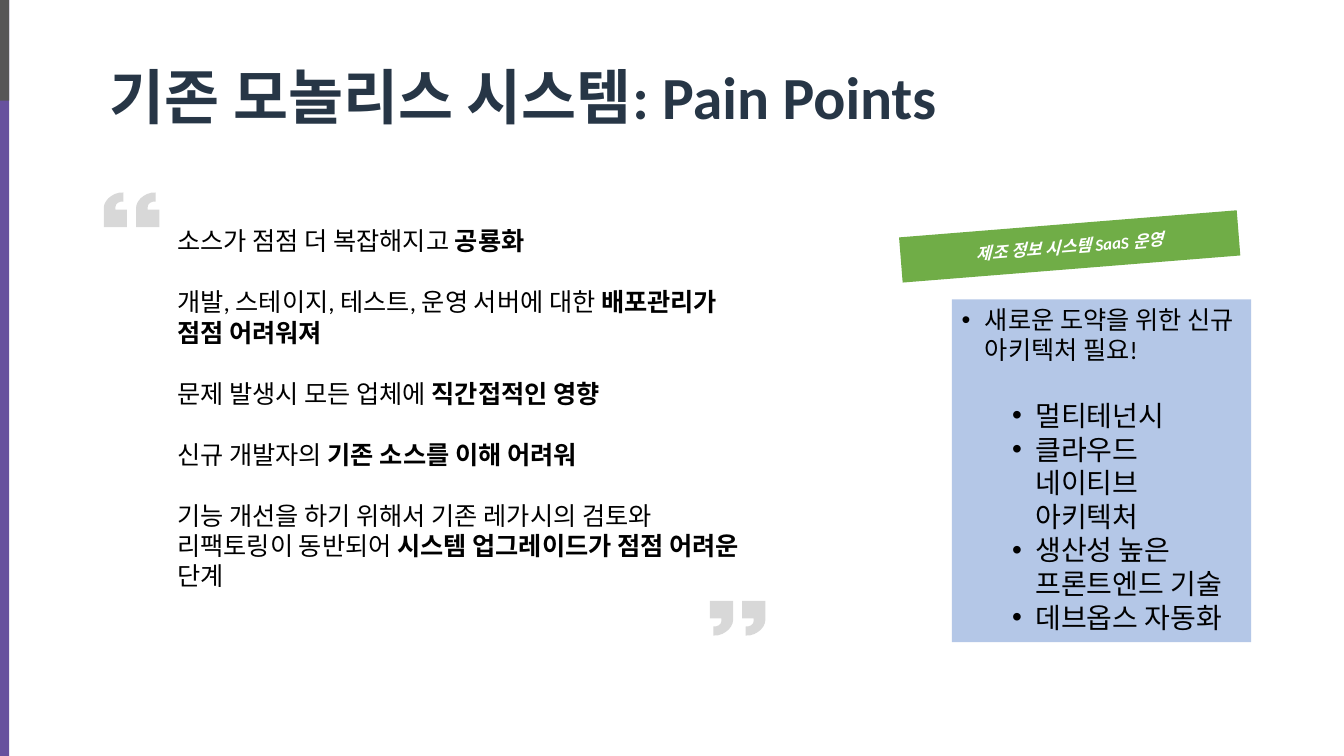
from typing import NamedTuple

from lxml.etree import SubElement
from pptx import Presentation
from pptx.dml.color import RGBColor
from pptx.enum.shapes import MSO_SHAPE as Preset
from pptx.enum.text import MSO_ANCHOR as Anchor, PP_ALIGN as Align
from pptx.oxml.ns import qn
from pptx.util import Pt

PX = 9144  # 100 px to the inch
FONT = "Calibri"
WHITE = RGBColor(0xFF, 0xFF, 0xFF)
BLACK = RGBColor(0, 0, 0)
NAVY = RGBColor(0x27, 0x36, 0x46)
PURPLE = RGBColor(0x67, 0x51, 0x9E)
GRAY = RGBColor(0x57, 0x56, 0x56)
QUOTE_GRAY = RGBColor(0xD8, 0xD8, 0xD8)
GREEN = RGBColor(0x70, 0xAD, 0x47)
PALE_BLUE = RGBColor(0xB4, 0xC7, 0xE7)


class Area(NamedTuple):
    left: int
    top: int
    width: int
    height: int

    def emu(self) -> list[int]:
        return [length * PX for length in self]


class PainPoint(NamedTuple):
    lead: str
    stress: str
    tail: str = ""


class Need(NamedTuple):
    text: str
    size: int = 20
    indent: int = 73
    level: int = 1
    gap: int = 0


class QuoteMark(NamedTuple):
    left: int
    top: int
    rotation: int


PAIN_POINTS = [
    PainPoint("소스가 점점 더 복잡해지고 ", "공룡화"),
    PainPoint("개발, 스테이지, 테스트, 운영 서버에 대한 ", "배포관리가 점점 어려워져"),
    PainPoint("문제 발생시 모든 업체에 ", "직간접적인 영향"),
    PainPoint("신규 개발자의 ", "기존 소스를 이해 어려워"),
    PainPoint("기능 개선을 하기 위해서 기존 레가시의 검토와 리팩토링이 동반되어 ",
              "시스템 업그레이드가 점점 어려운 ", "단계"),
]
NEEDS = [
    Need("새로운 도약을 위한 신규 아키텍처 필요!", size=18, indent=23, level=0),
    Need("멀티테넌시", gap=24),
    Need("클라우드 네이티브 아키텍처"),
    Need("생산성 높은 프론트엔드 기술"),
    Need("데브옵스 자동화"),
]
QUOTE_MARKS = [QuoteMark(103, 191, 0), QuoteMark(135, 191, 0),
               QuoteMark(704, 596, 180), QuoteMark(736, 596, 180)]
# Opening quote mark, in tenths of a px
QUOTE_OUTLINE = [(0, 345), (230, 345), (230, 170), (115, 170), (115, 145), (122, 121),
                 (141, 102), (166, 92), (195, 90), (195, 0), (150, 3), (108, 16),
                 (75, 35), (45, 58), (20, 90), (5, 122), (0, 150)]


def style(font, size: float, color: RGBColor, bold: bool = False, italic: bool = False) -> None:
    font.name, font.size, font.bold, font.italic = FONT, Pt(size), bold, italic
    font.color.rgb = color


def paint(shape, color: RGBColor) -> None:
    shape.shadow.inherit = False
    shape.fill.solid()
    shape.fill.fore_color.rgb = color
    shape.line.fill.background()


def add_block(slide, area: Area, color: RGBColor, preset=Preset.RECTANGLE):
    block = slide.shapes.add_shape(preset, *area.emu())
    paint(block, color)
    block.text_frame.word_wrap = True
    return block


def add_text_box(slide, area: Area):
    frame = slide.shapes.add_textbox(*area.emu()).text_frame
    frame.word_wrap = True
    return frame


def paragraph_at(frame, index: int):
    return frame.add_paragraph() if index else frame.paragraphs[0]


def add_title(slide) -> None:
    frame = add_text_box(slide, Area(99, 59, 1142, 80))
    frame.vertical_anchor = Anchor.MIDDLE
    frame.text = "기존 모놀리스 시스템: Pain Points"
    para = frame.paragraphs[0]
    para.line_spacing = 0.9
    style(para.runs[0].font, 42.7, NAVY, bold=True)


def add_pain_points(slide) -> None:
    frame = add_text_box(slide, Area(166, 219, 598, 373))
    for index, point in enumerate(PAIN_POINTS):
        para = paragraph_at(frame, index)
        if index:
            para.space_before = Pt(22)
        for text in filter(None, point):
            span = para.add_run()
            span.text = text
            style(span.font, 18, BLACK, bold=text == point.stress)


def add_quote_mark(slide, mark: QuoteMark) -> None:
    builder = slide.shapes.build_freeform(*QUOTE_OUTLINE[0], scale=PX / 10)
    builder.add_line_segments(QUOTE_OUTLINE[1:], close=True)
    shape = builder.convert_to_shape(mark.left * PX, mark.top * PX)
    paint(shape, QUOTE_GRAY)
    shape.rotation = mark.rotation


def add_banner(slide) -> None:
    banner = add_block(slide, Area(893, 222, 336, 45), GREEN)
    banner.rotation = 355.4
    frame = banner.text_frame
    frame.vertical_anchor = Anchor.MIDDLE
    frame.text = "제조 정보 시스템 SaaS 운영"
    para = frame.paragraphs[0]
    para.alignment = Align.CENTER
    style(para.runs[0].font, 12, WHITE, bold=True, italic=True)


def add_bullet(para, indent: int) -> None:
    properties = para._p.get_or_add_pPr()
    properties.set("marL", str(indent * PX))
    properties.set("indent", str(-23 * PX))
    SubElement(properties, qn("a:buFont")).set("typeface", "Arial")
    SubElement(properties, qn("a:buChar")).set("char", "•")


def add_needs(slide) -> None:
    frame = add_block(slide, Area(944, 297, 297, 340), PALE_BLUE).text_frame
    frame.vertical_anchor = Anchor.TOP
    for index, need in enumerate(NEEDS):
        para = paragraph_at(frame, index)
        para.text = need.text
        para.level = need.level
        para.alignment = Align.LEFT
        if need.gap:
            para.space_before = Pt(need.gap)
        add_bullet(para, need.indent)
        style(para.runs[0].font, need.size, BLACK)


def main() -> None:
    deck = Presentation()
    deck.slide_width, deck.slide_height = 1333 * PX, 750 * PX
    page = deck.slides.add_slide(deck.slide_layouts[6])
    add_block(page, Area(0, 0, 9, 750), PURPLE)
    add_block(page, Area(0, 0, 9, 100), GRAY)
    add_title(page)
    add_pain_points(page)
    for mark in QUOTE_MARKS:
        add_quote_mark(page, mark)
    add_banner(page)
    add_needs(page)
    deck.save("out.pptx")


if __name__ == "__main__":
    main()
